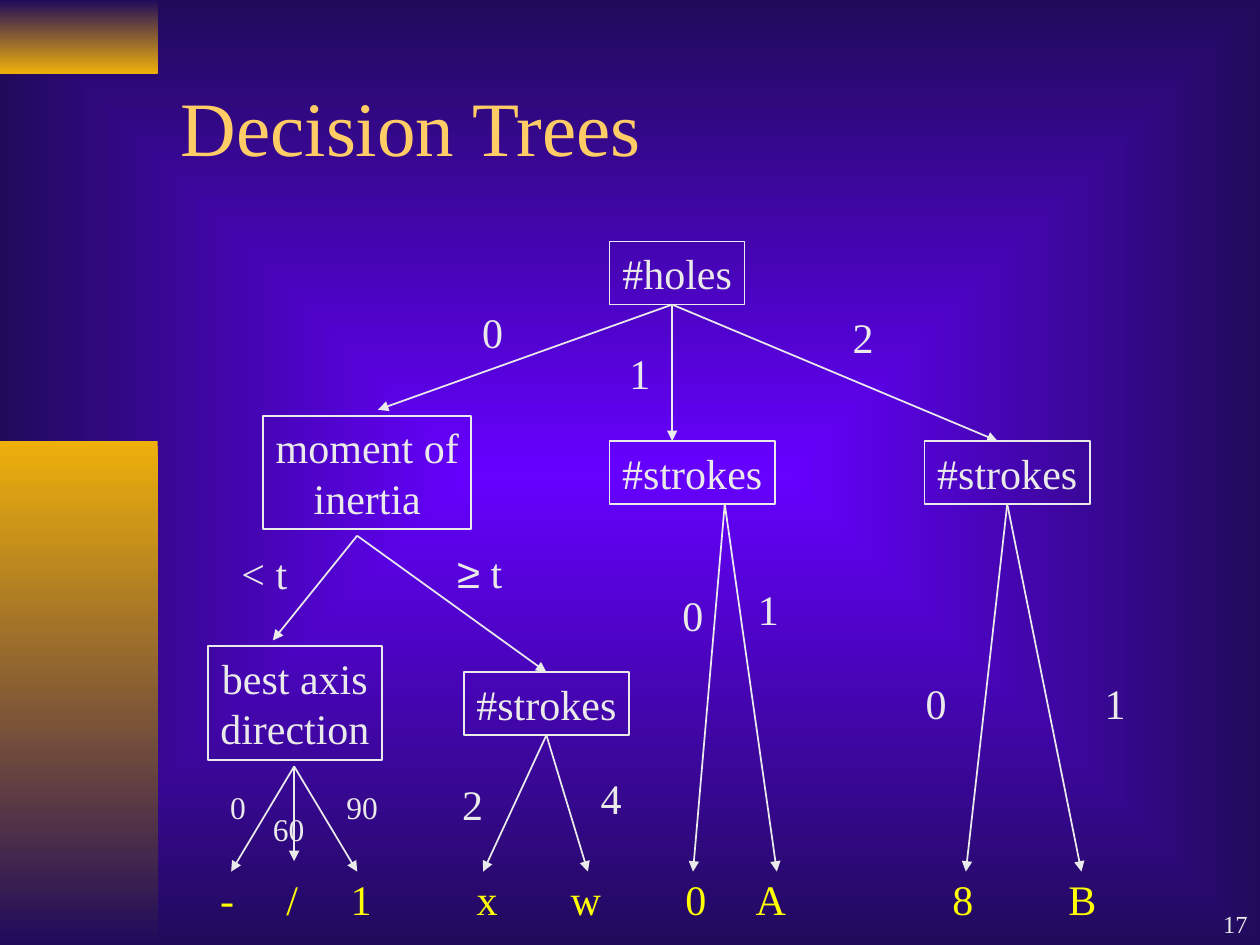
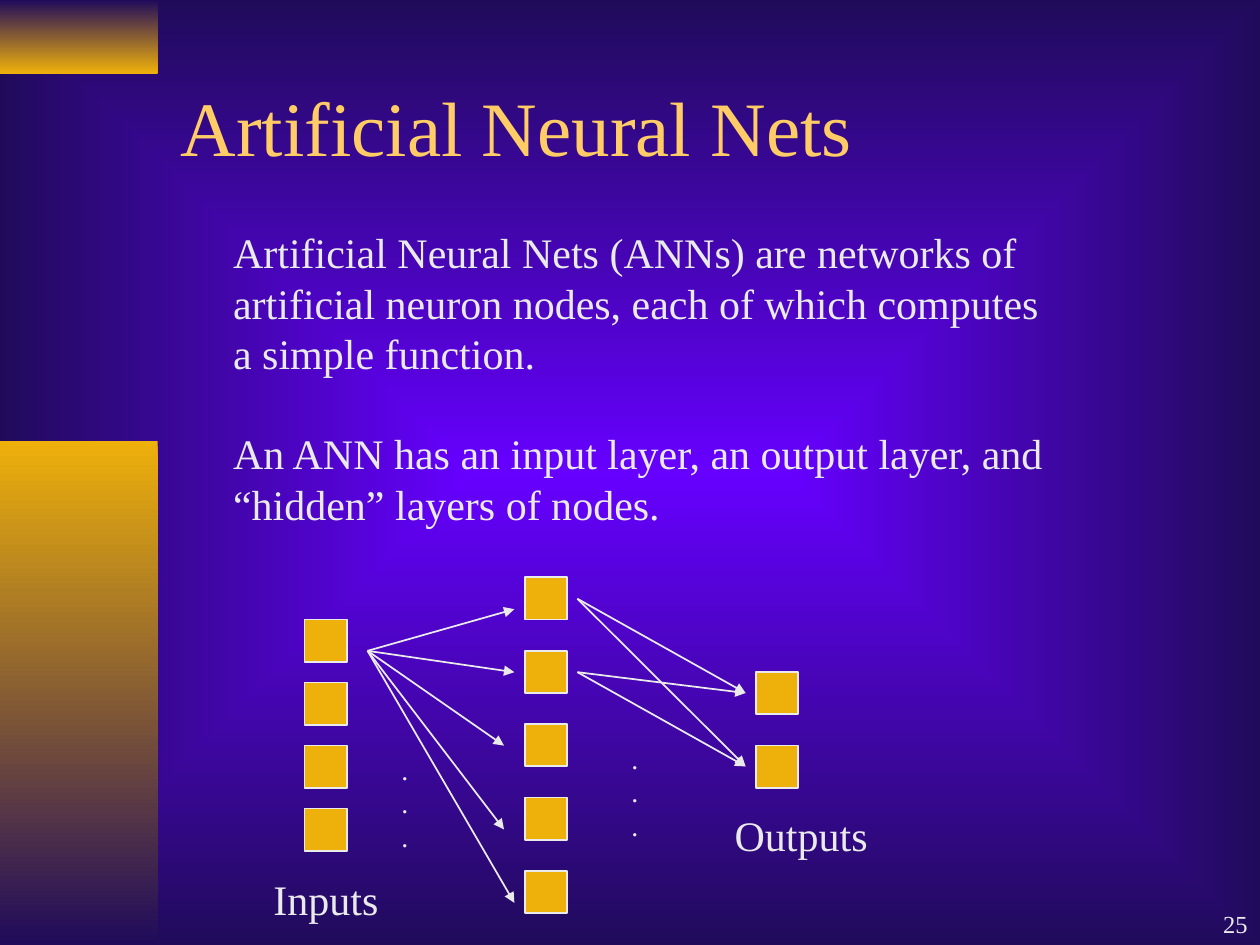
from itertools import product

from lxml.etree import SubElement
from pptx import Presentation
from pptx.dml.color import RGBColor
from pptx.enum.shapes import MSO_CONNECTOR as Connector, MSO_SHAPE as Shape
from pptx.enum.text import MSO_ANCHOR as Anchor, PP_ALIGN as Align
from pptx.oxml.ns import qn
from pptx.util import Cm, Pt

rgb = RGBColor.from_string
VIOLET, NAVY, GOLD = "6600FF", "200B5B", "EEB00B"
LIGHT, TITLE_COLOR, YELLOW = "EAEAEA", "FFCC66", "FFFF00"
FONT, SYMBOL_FONT = "Times New Roman", "Arial"
BOTTOM_SIDE, TOP_SIDE = 2, 0


def write(shape, text, size=24, color=LIGHT, align=Align.CENTER,
          anchor=Anchor.TOP, wrap=True, space_before=0):
    """Fill a shape with one paragraph per line of text."""
    frame = shape.text_frame
    frame.word_wrap = wrap
    frame.vertical_anchor = anchor
    for index, line in enumerate(text.split("\n")):
        paragraph = frame.add_paragraph() if index else frame.paragraphs[0]
        paragraph.alignment = align
        paragraph.space_before = Pt(space_before if index else 0)
        for piece in filter(None, line.partition("≥")):
            run = paragraph.add_run()
            run.text = piece
            name = SYMBOL_FONT if piece == "≥" else FONT
            for attribute, value in {"name": name, "size": Pt(size)}.items():
                setattr(run.font, attribute, value)
            run.font.color.rgb = rgb(color)


def add_arrow(slide, start, end):
    """Draw a thin arrow between two points given in centimetres."""
    arrow = slide.shapes.add_connector(
        Connector.STRAIGHT, *[Cm(value) for value in (*start, *end)])
    arrow.line.color.rgb = rgb(LIGHT)
    arrow.line.width = Pt(1)
    SubElement(arrow.line._get_or_add_ln(), qn("a:tailEnd"), type="triangle")
    SubElement(arrow._element.spPr, qn("a:effectLst"))
    return arrow


presentation = Presentation()
presentation.slide_width, presentation.slide_height = Cm(25.4), Cm(19.05)
layout = presentation.slide_layouts[5]

# Shared background: a rectangular gradient from the centre outwards
background = layout.background.fill
background.gradient()
for stop, color in zip(background.gradient_stops, (VIOLET, NAVY)):
    stop.color.rgb = rgb(color)
gradient = layout.element.find(".//" + qn("a:gradFill"))
gradient.remove(gradient.find(qn("a:lin")))
gradient_path = SubElement(gradient, qn("a:path"), path="rect")
SubElement(gradient_path, qn("a:fillToRect"),
           l="50000", t="50000", r="50000", b="50000")

# Shared title place
title_place = {"left": Cm(3.39), "top": Cm(0.85), "width": Cm(21.59), "height": Cm(3.35)}
for attribute, value in title_place.items():
    setattr(layout.placeholders[0], attribute, value)

# Titles and slide numbers
slides = []
for title, number in (("Decision Trees", "17"), ("Artificial Neural Nets", "25")):
    slide = presentation.slides.add_slide(layout)
    write(slide.shapes.title, title, 44, TITLE_COLOR, Align.LEFT, Anchor.MIDDLE)
    number_box = slide.shapes.add_textbox(Cm(20.12), Cm(17.78), Cm(5.28), Cm(1.27))
    write(number_box, number, 14, align=Align.RIGHT, anchor=Anchor.BOTTOM)
    slides.append(slide)
tree_slide, net_slide = slides

# Shared side bands, made on a slide and moved into the layout
for top, height, colors in ((0, 1.48, (NAVY, GOLD)), (8.89, 10.16, (GOLD, NAVY))):
    band = tree_slide.shapes.add_shape(Shape.RECTANGLE, 0, Cm(top), Cm(3.18), Cm(height))
    band.shadow.inherit = False
    band.line.fill.background()
    band.fill.gradient()
    band.fill.gradient_angle = 270
    for stop, color in zip(band.fill.gradient_stops, colors):
        stop.color.rgb = rgb(color)
    layout.shapes.element.insert(2, band._element)

# Decision tree: question boxes
questions = {
    "holes": ("#holes", 12.29, 4.87, 2.72, 1.27),
    "inertia": ("moment of\ninertia", 5.31, 8.38, 4.19, 2.29),
    "one hole": ("#strokes", 12.29, 8.89, 3.33, 1.27),
    "two holes": ("#strokes", 18.64, 8.89, 3.33, 1.27),
    "axis": ("best axis\ndirection", 4.19, 13.03, 3.51, 2.29),
    "above t": ("#strokes", 9.35, 13.55, 3.33, 1.27),
}
boxes = {}
for name, (text, *place) in questions.items():
    box = tree_slide.shapes.add_shape(Shape.RECTANGLE, *[Cm(value) for value in place])
    box.shadow.inherit = False
    box.fill.background()
    box.line.color.rgb = rgb(LIGHT)
    box.line.width = Pt(1)
    write(box, text, wrap=False)
    boxes[name] = box

# Decision tree: branches as (start, ends, box joined at start, box joined at end)
LEAF_TOP = 17.57
branches = [
    ((13.55, 6.14), [(7.62, 8.26), (13.55, 8.89), (20.11, 8.89)], None, None),
    ((7.2, 10.8), [(5.5, 12.91)], None, None),
    ((7.2, 10.8), [(11.01, 13.55)], None, "above t"),
    ((5.93, 15.45), [(4.66, LEAF_TOP), (5.93, 17.36), (7.2, LEAF_TOP)], None, None),
    ((11.01, 14.82), [(9.74, LEAF_TOP), (11.85, LEAF_TOP)], "above t", None),
    ((14.61, 10.16), [(13.97, LEAF_TOP), (15.66, LEAF_TOP)], None, None),
    ((20.32, 10.16), [(19.47, LEAF_TOP), (21.8, LEAF_TOP)], "two holes", None),
]
for start, ends, parent, child in branches:
    for end in ends:
        arrow = add_arrow(tree_slide, start, end)
        if parent:
            arrow.begin_connect(boxes[parent], BOTTOM_SIDE)
        if child:
            arrow.end_connect(boxes[child], TOP_SIDE)

# Decision tree: branch labels and leaves as (text, centre, top)
branch_labels = [
    ("0", 9.93, 6.05), ("1", 12.9, 6.88), ("2", 17.4, 6.15),
    ("< t", 5.33, 10.92), ("≥ t", 9.67, 10.9),
    ("2", 9.53, 15.57), ("4", 12.32, 15.44),
    ("0", 13.97, 11.76), ("1", 15.49, 11.63),
    ("0", 18.87, 13.54), ("1", 22.48, 13.54),
]
angle_labels = [("0", 4.8, 15.77), ("60", 5.82, 16.2), ("90", 7.3, 15.77)]
leaf_centers = (4.58, 5.89, 7.28, 9.82, 11.81, 14.03, 15.54, 19.41, 21.82)
leaves = [(text, center, 17.48) for text, center in zip("-/1xw0A8B", leaf_centers)]
for labels, size, color in ((branch_labels, 24, LIGHT), (angle_labels, 18, LIGHT),
                            (leaves, 24, YELLOW)):
    for text, center, top in labels:
        label = tree_slide.shapes.add_textbox(Cm(center - 0.9), Cm(top), Cm(1.8), Cm(1.27))
        write(label, text, size, color)

# Neural net: explanation
explanation = net_slide.shapes.add_textbox(Cm(4.45), Cm(4.45), Cm(16.95), Cm(6.35))
write(explanation,
      "Artificial Neural Nets (ANNs) are networks of artificial neuron nodes, "
      "each of which computes a simple function.\n"
      "An ANN has an input layer, an output layer, and “hidden” layers of nodes.",
      align=Align.LEFT, space_before=28.5)

# Neural net: layers as (left, top, pitch, count)
NODE = 0.85
for left, first_top, pitch, count in ((6.14, 12.49, 1.27, 4), (10.58, 11.64, 1.48, 5),
                                      (15.24, 13.55, 1.48, 2)):
    for row in range(count):
        node = net_slide.shapes.add_shape(
            Shape.RECTANGLE, Cm(left), Cm(first_top + row * pitch), Cm(NODE), Cm(NODE))
        node.shadow.inherit = False
        node.fill.solid()
        node.fill.fore_color.rgb = rgb(GOLD)
        node.line.color.rgb = rgb(LIGHT)
        node.line.width = Pt(1)

# Neural net: links from the first input, then from two hidden nodes
hidden_points = [(10.37, 12.28), (10.37, 13.55), (10.16, 15.03), (10.16, 16.72), (10.37, 18.2)]
for end in hidden_points:
    add_arrow(net_slide, (7.41, 13.12), end)
for start_top, end_top in product((12.07, 13.55), (13.97, 15.45)):
    add_arrow(net_slide, (11.64, start_top), (15.03, end_top))

# Neural net: dots and layer names
for text, center, top, height, size in (
        (".\n.\n.", 8.16, 15.04, 2.29, 16), (".\n.\n.", 12.8, 14.82, 2.29, 16),
        ("Inputs", 6.57, 17.48, 1.27, 24), ("Outputs", 16.15, 16.2, 1.27, 24)):
    label = net_slide.shapes.add_textbox(Cm(center - 2), Cm(top), Cm(4), Cm(height))
    write(label, text, size)

presentation.save("out.pptx")
